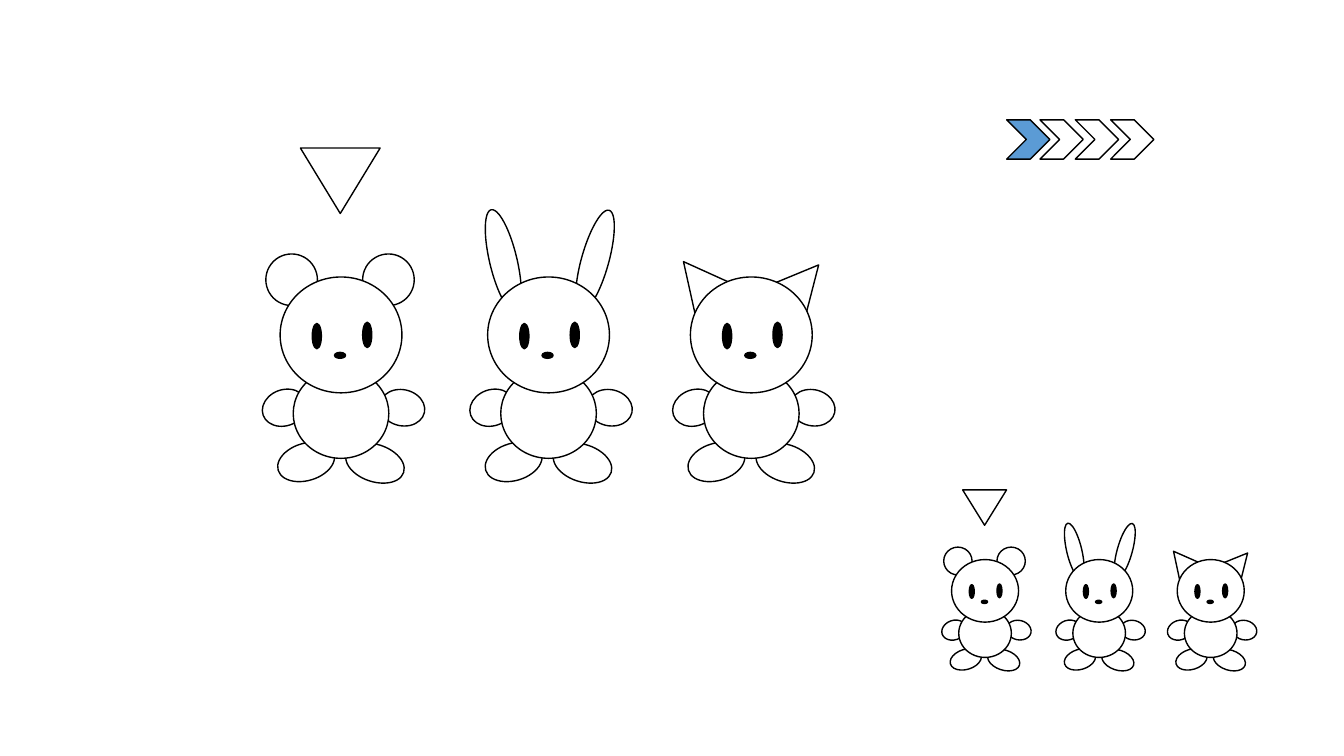
from pptx import Presentation
from pptx.dml.color import RGBColor
from pptx.enum.shapes import MSO_SHAPE as Preset
from pptx.util import Cm, Pt

COLORS = {"paper": "FFFFFF", "ink": "000000", "active": "5B9BD5"}

MARKER = (Preset.ISOSCELES_TRIANGLE, 0.51, -3.25, 2.01, 1.65, 180, "paper")
EARS = {
    "bear": [
        (Preset.FLOWCHART_CONNECTOR, 2.08, -0.58, 1.3, 1.3, 0, "paper"),
        (Preset.FLOWCHART_CONNECTOR, -0.36, -0.58, 1.3, 1.3, 0, "paper"),
    ],
    "rabbit": [
        (Preset.OVAL, 2.36, -1.73, 0.69, 2.64, 15.6, "paper"),
        (Preset.OVAL, 0.05, -1.73, 0.69, 2.64, 346.6, "paper"),
    ],
    "cat": [
        (Preset.ISOSCELES_TRIANGLE, 2.18, -0.46, 1.27, 1.27, 41, "paper"),
        (Preset.ISOSCELES_TRIANGLE, -0.41, -0.53, 1.27, 1.27, 320.9, "paper"),
    ],
}
BODY = [
    (Preset.OVAL, -0.08, 4.19, 1.47, 0.94, 343.4, "paper"),
    (Preset.OVAL, 1.63, 4.22, 1.52, 0.94, 18.2, "paper"),
    (Preset.OVAL, 2.51, 2.84, 1.14, 0.91, 12.3, "paper"),
    (Preset.OVAL, -0.46, 2.84, 1.14, 0.91, 340.8, "paper"),
    (Preset.OVAL, 0.33, 2.31, 2.41, 2.26, 0, "paper"),
    (Preset.FLOWCHART_CONNECTOR, 0, 0, 3.07, 2.92, 0, "paper"),
    (Preset.FLOWCHART_CONNECTOR, 0.81, 1.17, 0.23, 0.64, 0, "ink"),
    (Preset.FLOWCHART_CONNECTOR, 2.08, 1.14, 0.23, 0.64, 0, "ink"),
    (Preset.FLOWCHART_CONNECTOR, 1.37, 1.9, 0.28, 0.15, 0, "ink"),
]
ANIMAL_OFFSETS = {"bear": 0, "rabbit": 5.23, "cat": 10.34}
LARGE_ROW = {"left": 7.06, "top": 6.98, "scale": (1, 1)}
SMALL_ROW = {"left": 23.98, "top": 14.1, "scale": (0.55, 0.54)}
STEPS = [(25.37, "active"), (26.21, "paper"), (27.1, "paper"), (27.99, "paper")]


def add_part(shapes, preset, left, top, width, height, rotation, color):
    shape = shapes.add_shape(preset, Cm(left), Cm(top), Cm(width), Cm(height))
    shape.rotation = rotation
    shape.shadow.inherit = False
    shape.fill.solid()
    shape.fill.fore_color.rgb = RGBColor.from_string(COLORS[color])
    shape.line.color.rgb = RGBColor.from_string(COLORS["ink"])
    shape.line.width = Pt(1)


def add_row(shapes, left, top, scale):
    scale_x, scale_y = scale
    for animal, offset in ANIMAL_OFFSETS.items():
        marker = [MARKER] if animal == "bear" else []
        for preset, x, y, width, height, rotation, color in EARS[animal] + BODY + marker:
            add_part(shapes, preset, left + (offset + x) * scale_x, top + y * scale_y,
                     width * scale_x, height * scale_y, rotation, color)


def main():
    presentation = Presentation()
    presentation.slide_width, presentation.slide_height = Cm(33.87), Cm(19.05)
    slide = presentation.slides.add_slide(presentation.slide_layouts[6])
    add_row(slide.shapes, **LARGE_ROW)
    add_row(slide.shapes.add_group_shape().shapes, **SMALL_ROW)
    for left, color in STEPS:
        add_part(slide.shapes, Preset.CHEVRON, left, 3.02, 1.09, 0.99, 0, color)
    presentation.save("out.pptx")


if __name__ == "__main__":
    main()
